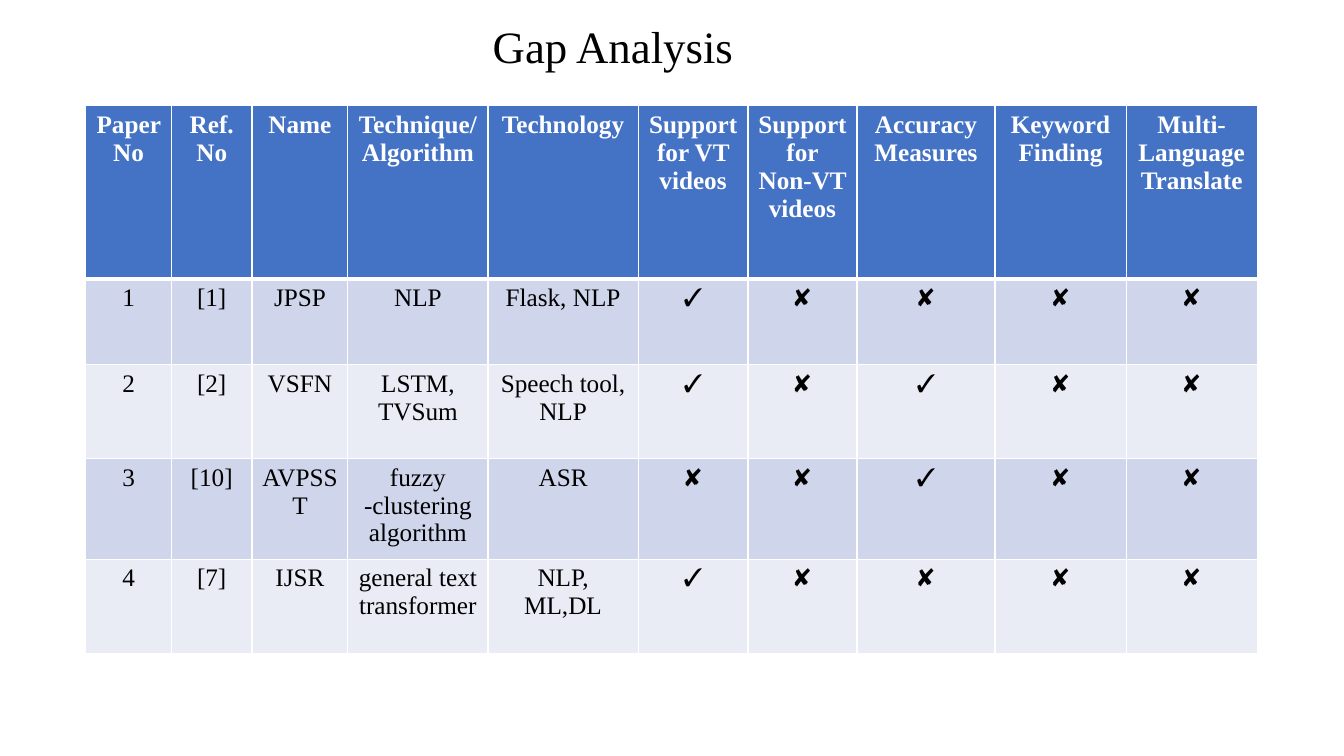
from dataclasses import dataclass

from lxml.etree import SubElement
from pptx import Presentation
from pptx.dml.color import RGBColor
from pptx.enum.text import MSO_ANCHOR, PP_ALIGN
from pptx.oxml.ns import qn
from pptx.util import Emu, Pt


@dataclass(frozen=True)
class Theme:
    font: str = "Times New Roman"
    title_size: int = 32
    cell_size: int = 18
    text: str = "000000"
    header_text: str = "FFFFFF"
    header_fill: str = "4472C4"
    bands: tuple = ("CFD5EA", "E9EBF5")
    border: str = "FFFFFF"
    border_width: int = 1
    header_rule: int = 3


THEME = Theme()
EMU_PER_PX = 9144
YES, NO = "✓", "✘"
COLUMNS = [
    ("Paper No", 85),
    ("Ref. No", 80),
    ("Name", 95),
    ("Technique/Algorithm", 139),
    ("Technology", 149),
    ("Support for VT videos", 109),
    ("Support for\nNon-VT videos", 108),
    ("Accuracy Measures", 137),
    ("Keyword\nFinding", 130),
    ("Multi-Language Translate", 130),
]
PAPERS = [
    ("1", "[1]", "JPSP", "NLP", "Flask, NLP", YES, NO, NO, NO, NO),
    ("2", "[2]", "VSFN", "LSTM,\nTVSum", "Speech tool, NLP", YES, NO, YES, NO, NO),
    ("3", "[10]", "AVPSST", "fuzzy -clustering algorithm", "ASR", NO, NO, YES, NO, NO),
    ("4", "[7]", "IJSR", "general text transformer", "NLP, ML,DL", YES, NO, NO, NO, NO),
]
ROW_HEIGHTS = [172, 85, 93, 93, 93]


def px(n):
    return Emu(n * EMU_PER_PX)


def add_text(tf, text, size, color, bold=False, spacing=None):
    tf.word_wrap = True
    for i, line in enumerate(text.split("\n")):
        p = tf.add_paragraph() if i else tf.paragraphs[0]
        p.alignment = PP_ALIGN.CENTER
        p.line_spacing = spacing
        r = p.add_run()
        r.text = line
        r.font.name = THEME.font
        r.font.size = Pt(size)
        r.font.bold = bold
        r.font.color.rgb = RGBColor.from_string(color)


def add_title(s, text, left, top, width, height):
    sp = s.shapes.add_textbox(px(left), px(top), px(width), px(height))
    tf = sp.text_frame
    tf.vertical_anchor = MSO_ANCHOR.MIDDLE
    add_text(tf, text, THEME.title_size, THEME.text, spacing=0.9)


def set_borders(cell, top, bottom):
    tc_pr = cell._tc.get_or_add_tcPr()
    widths = {"L": THEME.border_width, "R": THEME.border_width, "T": top, "B": bottom}
    for side, width in widths.items():
        ln = SubElement(tc_pr, qn(f"a:ln{side}"), w=str(Pt(width)))
        fill = SubElement(ln, qn("a:solidFill"))
        SubElement(fill, qn("a:srgbClr"), val=THEME.border)


def fill_cell(cell, text, row):
    header = row == 0
    set_borders(
        cell,
        THEME.header_rule if row == 1 else THEME.border_width,
        THEME.header_rule if header else THEME.border_width,
    )
    cell.fill.solid()
    fill = THEME.header_fill if header else THEME.bands[(row - 1) % 2]
    cell.fill.fore_color.rgb = RGBColor.from_string(fill)
    color = THEME.header_text if header else THEME.text
    add_text(cell.text_frame, text, THEME.cell_size, color, header or text == YES)


def add_gap_table(s, left, top):
    headings, widths = zip(*COLUMNS)
    rows = [headings, *PAPERS]
    table = s.shapes.add_table(
        len(rows), len(widths), px(left), px(top), px(sum(widths)), px(sum(ROW_HEIGHTS))
    ).table
    for column, width in zip(table.columns, widths):
        column.width = px(width)
    for i, (values, height) in enumerate(zip(rows, ROW_HEIGHTS)):
        table.rows[i].height = px(height)
        for j, value in enumerate(values):
            fill_cell(table.cell(i, j), value, i)


def main():
    prs = Presentation()
    prs.slide_width, prs.slide_height = px(1333), px(750)
    s = prs.slides.add_slide(prs.slide_layouts[6])
    add_title(s, "Gap Analysis", 33, 15, 1150, 68)
    add_gap_table(s, 85, 105)
    prs.save("out.pptx")


if __name__ == "__main__":
    main()
